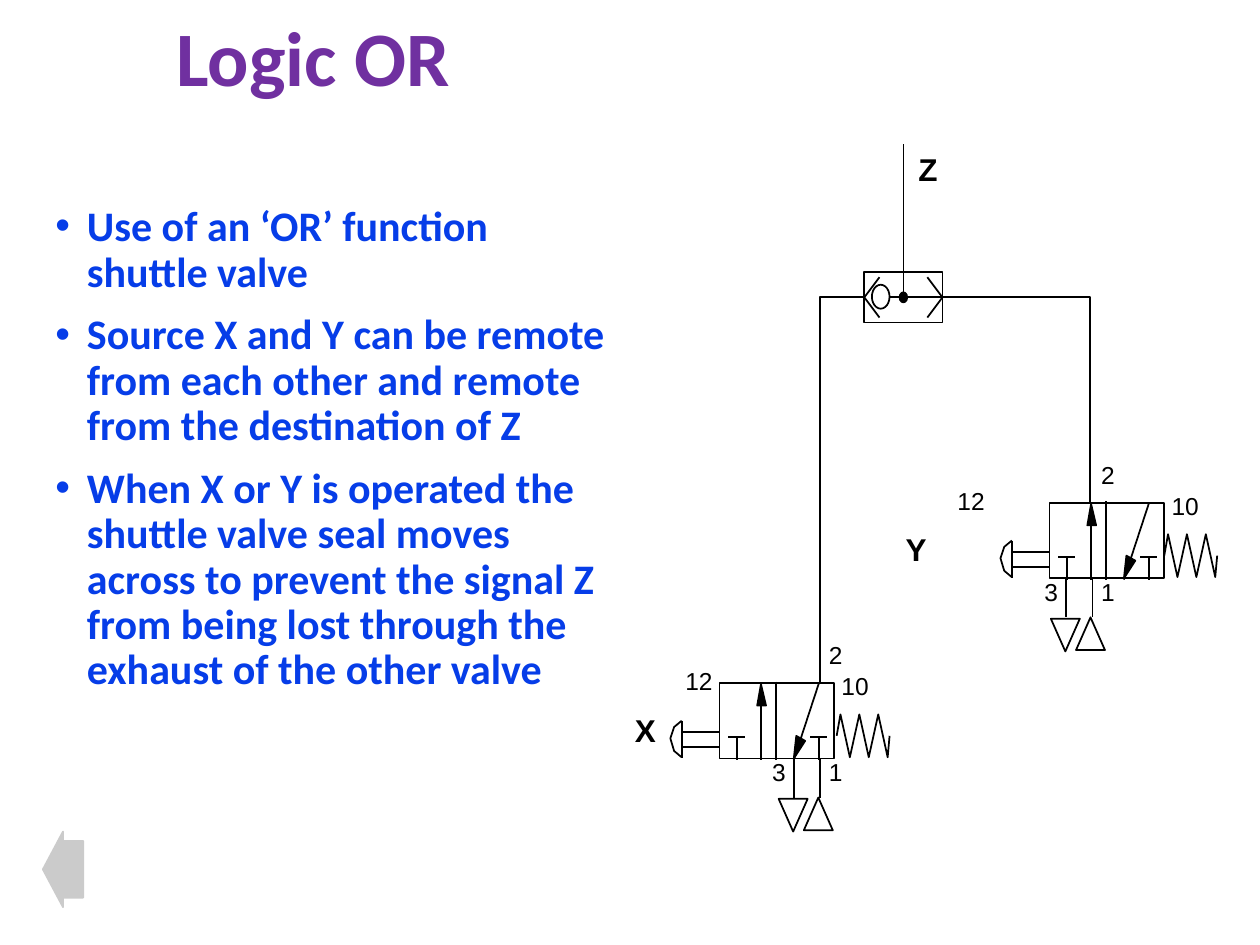
"""Build the Logic OR slide with its shuttle valve circuit."""
from dataclasses import dataclass

from lxml.etree import SubElement
from pptx import Presentation
from pptx.dml.color import RGBColor
from pptx.enum.shapes import MSO_CONNECTOR, MSO_SHAPE
from pptx.enum.text import MSO_ANCHOR, MSO_AUTO_SIZE, PP_ALIGN
from pptx.oxml.ns import qn
from pptx.shapes.base import BaseShape
from pptx.slide import Slide
from pptx.util import Inches, Pt

Point = tuple[float, float]


@dataclass(frozen=True)
class Theme:
    title: str = "7030A0"
    body: str = "063DE8"
    ink: str = "000000"
    arrow: str = "CBCBCB"
    head_font: str = "Calibri"
    label_font: str = "Arial"
    title_size: int = 44
    body_size: int = 24
    name_size: int = 18
    port_size: int = 14
    line: int = 1


@dataclass(frozen=True)
class Valve:
    name: str
    name_at: Point
    x: float
    y: float
    port_dx: float
    spring_dx: float


T = Theme()
BULLETS = (
    "Use of an ‘OR’ function shuttle valve",
    "Source X and Y can be remote from each other and remote from the destination of Z",
    "When X or Y is operated the shuttle valve seal moves across to prevent the signal Z "
    "from being lost through the exhaust of the other valve",
)
VALVES = (
    Valve("Y", (7.09, 4.16), 8.33, 3.99, 0, 0.91),
    Valve("X", (4.94, 5.59), 5.71, 5.42, 0.46, 0.93),
)


def write(p, text: str, *, font: str = T.label_font, size: int = T.port_size,
          color: str = T.ink, bold: bool = False) -> None:
    """Add text to a paragraph in the given format."""
    r = p.add_run()
    r.text = text
    r.font.name, r.font.size, r.font.bold = font, Pt(size), bold
    r.font.color.rgb = RGBColor.from_string(color)


def label(s: Slide, text: str, x: float, y: float, w: float, h: float = 0.33, **fmt) -> None:
    """Place a one-line label."""
    tf = s.shapes.add_textbox(Inches(x), Inches(y), Inches(w), Inches(h)).text_frame
    tf.word_wrap = False
    write(tf.paragraphs[0], text, **fmt)


def style(sp: BaseShape, fill: str | None = None, line: str = T.ink) -> None:
    """Set fill and outline without a shadow."""
    sp.shadow.inherit = False
    if fill:
        sp.fill.solid()
        sp.fill.fore_color.rgb = RGBColor.from_string(fill)
    else:
        sp.fill.background()
    sp.line.color.rgb = RGBColor.from_string(line)
    sp.line.width = Pt(T.line)


def shape(s: Slide, kind: MSO_SHAPE, x: float, y: float, w: float, h: float,
          fill: str | None = None, line: str = T.ink) -> BaseShape:
    """Draw a preset shape."""
    sp = s.shapes.add_shape(kind, Inches(x), Inches(y), Inches(w), Inches(h))
    style(sp, fill, line)
    return sp


def line(s: Slide, x1: float, y1: float, x2: float, y2: float) -> None:
    """Draw a straight line."""
    c = s.shapes.add_connector(MSO_CONNECTOR.STRAIGHT, *map(Inches, (x1, y1, x2, y2)))
    c.line.color.rgb = RGBColor.from_string(T.ink)
    c.line.width = Pt(T.line)
    SubElement(c._element.spPr, qn("a:effectLst"))


def outline(s: Slide, points: list[Point], x: float = 0, y: float = 0,
            fill: str | None = None) -> None:
    """Draw a polyline, closed when it has a fill."""
    pts = [(Inches(x + px), Inches(y + py)) for px, py in points]
    fb = s.shapes.build_freeform(*pts[0])
    fb.add_line_segments(pts[1:], close=fill is not None)
    style(fb.convert_to_shape(), fill)


def draw_valve(s: Slide, v: Valve) -> None:
    """Draw a push-button valve with spring return, ports and labels."""
    x, y = v.x, v.y
    px = x + v.port_dx
    label(s, v.name, *v.name_at, 0.37, 0.4, size=T.name_size, bold=True)
    for text, lx, ly, w in (("1", px + 0.31, 0.54, 0.31), ("2", px + 0.31, -0.39, 0.31),
                            ("3", px - 0.14, 0.54, 0.31), ("12", px - 0.83, -0.18, 0.42),
                            ("10", x + 0.87, -0.14, 0.42)):
        label(s, text, lx, y + ly, w)

    for dx in (0.13, 0.34):
        line(s, px + dx, y + 0.6, px + dx, y + 0.91)
    shape(s, MSO_SHAPE.ISOSCELES_TRIANGLE, px + 0.21, y + 0.91, 0.23, 0.26)
    shape(s, MSO_SHAPE.ISOSCELES_TRIANGLE, px + 0.01, y + 0.92, 0.23, 0.26).rotation = 180

    shape(s, MSO_SHAPE.RECTANGLE, x, y, 0.91, 0.6)
    for dx in (0.14, 0.79):
        line(s, x + dx, y + 0.43, x + dx, y + 0.61)
        line(s, x + dx - 0.07, y + 0.43, x + dx + 0.06, y + 0.43)
    line(s, x + 0.45, y - 0.01, x + 0.45, y + 0.61)
    line(s, x + 0.79, y, x + 0.59, y + 0.61)
    line(s, x + 0.33, y + 0.61, x + 0.33, y)
    outline(s, [(0.33, 0.01), (0.3, 0.18), (0.37, 0.18)], x, y, T.ink)
    outline(s, [(0.59, 0.6), (0.61, 0.42), (0.68, 0.46)], x, y, T.ink)

    zigzag = [(0.03 + 0.075 * i, 0.59 if i % 2 else 0.25) for i in range(6)]
    outline(s, [(0, 0.42), *zigzag, (0.42, 0.42)], x + v.spring_dx, y)

    line(s, x - 0.3, y + 0.3, x - 0.3, y + 0.6)
    outline(s, [(-0.3, 0.3), (-0.36, 0.35), (-0.39, 0.44), (-0.36, 0.54), (-0.3, 0.59)], x, y)
    for dy in (0.39, 0.51):
        line(s, x - 0.29, y + dy, x, y + dy)


def draw_shuttle(s: Slide) -> None:
    """Draw the shuttle valve and the lines that join it."""
    label(s, "Z", 7.19, 1.14, 0.36, 0.4, size=T.name_size, bold=True)
    line(s, 7.17, 2.36, 7.17, 1.14)
    shape(s, MSO_SHAPE.RECTANGLE, 6.86, 2.16, 0.62, 0.4)
    line(s, 7.06, 2.36, 7.48, 2.36)
    shape(s, MSO_SHAPE.OVAL, 7.14, 2.32, 0.06, 0.08, T.ink)
    shape(s, MSO_SHAPE.OVAL, 6.92, 2.26, 0.14, 0.19)
    for back, tip in ((6.98, 6.86), (7.36, 7.48)):
        outline(s, [(back, 2.2), (tip, 2.36), (back, 2.52)])
    outline(s, [(6.51, 5.43), (6.51, 2.36), (6.86, 2.36)])
    outline(s, [(7.48, 2.36), (8.65, 2.36), (8.65, 3.99)])


def place(sp: BaseShape, x: float, y: float, w: float, h: float):
    """Move a placeholder and return its text frame."""
    sp.left, sp.top, sp.width, sp.height = map(Inches, (x, y, w, h))
    sp.text_frame.auto_size = MSO_AUTO_SIZE.NONE
    return sp.text_frame


def write_texts(s: Slide) -> None:
    """Fill the title and the bullet list."""
    tf = place(s.shapes.title, 1.3, 0.08, 7.47, 0.81)
    tf.vertical_anchor = MSO_ANCHOR.MIDDLE
    p = tf.paragraphs[0]
    p.alignment, p.line_spacing = PP_ALIGN.LEFT, 0.9
    write(p, "Logic OR", font=T.head_font, size=T.title_size, color=T.title, bold=True)

    tf = place(s.placeholders[1], 0.34, 1.58, 4.58, 4.92)
    for i, text in enumerate(BULLETS):
        p = tf.add_paragraph() if i else tf.paragraphs[0]
        p.line_spacing, p.space_before = 0.9, Pt(10 if i else 0)
        pPr = p._p.get_or_add_pPr()
        pPr.set("marL", str(Inches(0.25)))
        pPr.set("indent", str(Inches(-0.25)))
        SubElement(pPr, qn("a:buFont"), typeface=T.label_font)
        SubElement(pPr, qn("a:buChar"), char="•")
        write(p, text, font=T.head_font, size=T.body_size, color=T.body, bold=True)


def main() -> None:
    """Build and save the slide."""
    prs = Presentation()
    prs.slide_width, prs.slide_height = Inches(10), Inches(7.5)
    s = prs.slides.add_slide(prs.slide_layouts[1])
    write_texts(s)
    for valve in VALVES:
        draw_valve(s, valve)
    draw_shuttle(s)
    back = shape(s, MSO_SHAPE.LEFT_ARROW, 0.34, 6.6, 0.32, 0.6, T.arrow, T.arrow)
    back.adjustments[0] = 0.75
    prs.save("out.pptx")


if __name__ == "__main__":
    main()
